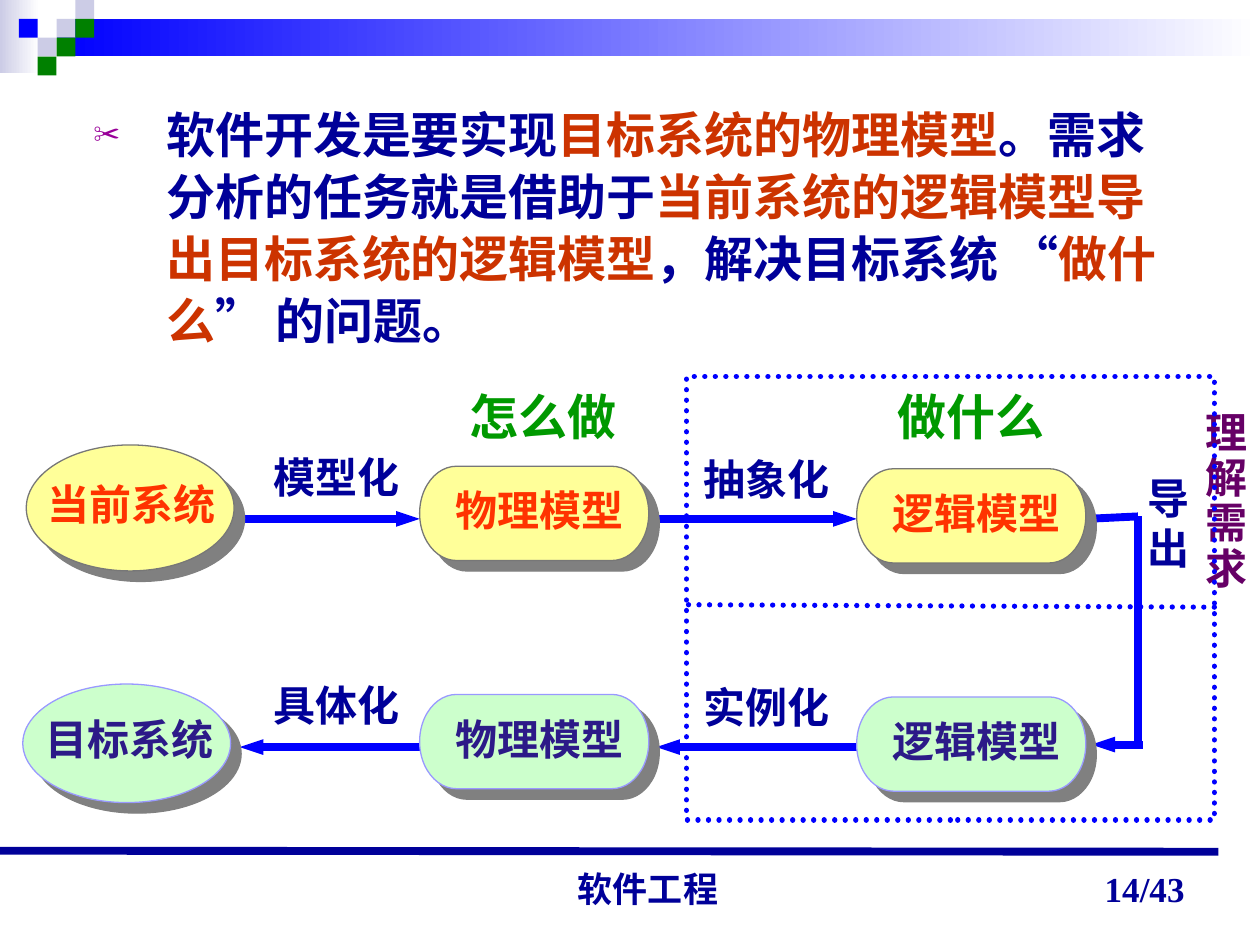
from pptx import Presentation
from pptx.dml.color import RGBColor
from pptx.enum.dml import MSO_LINE
from pptx.enum.shapes import MSO_CONNECTOR, MSO_SHAPE
from pptx.enum.text import MSO_ANCHOR, MSO_AUTO_SIZE, PP_ALIGN
from pptx.oxml import parse_xml
from pptx.oxml.ns import nsdecls
from pptx.oxml.ns import qn
from pptx.util import Cm, Pt

# Content
NAVY, RED, BLUE, GREEN = "000099", "CC3300", "0000FF", "008000"
PALE, LEAF, PLUM = "CCCCE6", "009900", "660066"
HAN, ROMAN = "Noto Sans CJK SC", "Times New Roman"
BODY = [
    ("软件开发是要实现", HAN, NAVY),
    ("目标系统的物理模型", HAN, RED),
    ("。需求分析的任务就是借助于", HAN, NAVY),
    ("当前系统的逻辑模型导出目标系统的逻辑模型", HAN, RED),
    ("，解决目标系统 ", HAN, NAVY),
    ("“", ROMAN, NAVY),
    ("做什么", HAN, RED),
    ("”", ROMAN, NAVY),
    (" 的问题。", HAN, NAVY),
]
# Each row: top, colours (fill, edge, text), ellipse box, ellipse text, link words
ROWS = [
    (9.4, ("FFFF99", "777777", "FF3300"), (0.53, 8.97, 4.19, 2.54),
     ("当前系统", 0.71, 9.52), ("模型化", "抽象化")),
    (14, ("CCFFCC", "9999FF", "2C1A88"), (0.46, 13.79, 4.19, 2.39),
     ("目标系统", 0.66, 14.25), ("具体化", "实例化")),
]
MODELS = [("物理模型", 8.46, 0), ("逻辑模型", 17.27, 0.05)]
LINKS = [(5.26, 8.98), (13.92, 9.02)]
# Lines: from x, y, to x, y, arrow at the end
LINES = [
    (21.9, 10.46, 22.94, 10.41, False),
    (13.08, 10.46, 17.27, 10.46, True),
    (4.7, 10.46, 8.46, 10.46, True),
    (23.04, 15.01, 22, 15.01, True),
    (17.27, 15.06, 13.23, 15.06, True),
    (8.46, 15.06, 4.83, 15.06, True),
    (22.94, 15.01, 22.94, 10.41, False),
]
# Notes: text, box, size, colour, line spacing
NOTES = [
    ("理\n解\n需\n求", (24.05, 8.18, 1.35, 3.91), 24, PLUM, 0.9),
    ("导\n出", (22.89, 9.4, 1.35, 2.29), 24, NAVY, 1),
    ("怎么做", (9.07, 7.67, 3.6, 1.45), 28, LEAF, 1),
    ("做什么", (17.7, 7.67, 3.6, 1.45), 28, LEAF, 1),
]
STEP = 0.38
TILES = [(3, 1, PALE), (4, 0, PALE), (4, 1, GREEN), (2, 2, PALE),
         (1, 1, BLUE), (3, 2, GREEN), (2, 3, GREEN)]

deck = Presentation()
deck.slide_width, deck.slide_height = Cm(25.4), Cm(19.05)
slide = deck.slides.add_slide(deck.slide_layouts[1])
title = slide.shapes.title
title.element.getparent().remove(title.element)


def tint(part, code):
    """Set a colour from a hex string."""
    part.rgb = RGBColor.from_string(code)


def node_xml(tag, attrs="", inner=""):
    return parse_xml(f'<a:{tag} {nsdecls("a")} {attrs}>{inner}</a:{tag}>')


def style(run, face, size, code):
    run.font.name, run.font.size, run.font.bold = face, Pt(size), True
    tint(run.font.color, code)
    run.font._element.find(qn("a:latin")).addnext(
        node_xml("ea", f'typeface="{HAN}"'))


def form(kind, box, fill=None, edge=None, width=0.75):
    shape = slide.shapes.add_shape(kind, *map(Cm, box))
    shape.shadow.inherit = False
    if fill:
        shape.fill.solid()
        tint(shape.fill.fore_color, fill)
    else:
        shape.fill.background()
    if edge:
        tint(shape.line.color, edge)
        shape.line.width = Pt(width)
    else:
        shape.line.fill.background()
    return shape


def fade(box, start):
    shape = form(MSO_SHAPE.RECTANGLE, box)
    shape.fill.gradient()
    shape.fill.gradient_angle = 0
    for stop, code in zip(shape.fill.gradient_stops, (start, "FFFFFF")):
        tint(stop.color, code)


def node(kind, box, fill, edge):
    shape = form(kind, box, fill, edge)
    shape._element.spPr.find(qn("a:effectLst")).append(node_xml(
        "outerShdw", 'dist="107950" dir="2700000" algn="ctr" rotWithShape="0"',
        '<a:srgbClr val="808080"/>'))


def label(text, box, size=24, code=NAVY, face=HAN, align=PP_ALIGN.RIGHT,
          wrap=False, space=1):
    frame = slide.shapes.add_textbox(*map(Cm, box)).text_frame
    frame.text = text
    frame.word_wrap = wrap
    if wrap:
        frame.vertical_anchor = MSO_ANCHOR.BOTTOM
    else:
        frame.auto_size = MSO_AUTO_SIZE.SHAPE_TO_FIT_TEXT
    for para in frame.paragraphs:
        para.alignment, para.line_spacing = align, space
        style(para.runs[0], face, size, code)


def line(x1, y1, x2, y2, arrow=False, code=BLUE, width=4.5):
    link = slide.shapes.add_connector(
        MSO_CONNECTOR.STRAIGHT, Cm(x1), Cm(y1), Cm(x2), Cm(y2))
    tint(link.line.color, code)
    link.line.width = Pt(width)
    if arrow:
        link.line._get_or_add_ln().append(
            node_xml("tailEnd", 'type="triangle" w="sm"'))
    link._element.spPr.append(node_xml("effectLst"))
    return link


# Header band and tiles
fade((0, 0, 0.79, 1.47), PALE)
fade((1.14, STEP, 24.26, 2 * STEP), BLUE)
for col, row, code in TILES:
    form(MSO_SHAPE.RECTANGLE, (col * STEP, row * STEP, STEP, STEP), code)

# Footer
line(0, 17.15, 24.56, 17.17, code=NAVY)
label("软件工程", (9.04, 17.42, 8.05, 1.04), 20, face="Arial",
      align=PP_ALIGN.CENTER, wrap=True)
label("14/43", (18.21, 17.2, 5.92, 1.27), 20, face=ROMAN, wrap=True)

# Body text
body = slide.placeholders[1]
body.left, body.top, body.width, body.height = map(Cm, (1.63, 1.93, 22, 5.54))
body.text_frame.auto_size = MSO_AUTO_SIZE.NONE
para = body.text_frame.paragraphs[0]
para.line_spacing, para.space_before = 1.05, Pt(0)
props = para._p.get_or_add_pPr()
props.set("marL", str(Cm(1.47)))
props.set("indent", str(-Cm(1.47)))
props.append(node_xml("buClr", inner='<a:srgbClr val="990099"/>'))
props.append(node_xml("buSzPct", 'val="55000"'))
props.append(node_xml("buChar", 'char="✂"'))
for text, face, code in BODY:
    run = para.add_run()
    run.text = text
    style(run, face, 28, code)

# Flow lines, then the two rows of systems and models
for ends in LINES:
    line(*ends)
for top, (fill, edge, ink), oval, (text, x, y), words in ROWS:
    node(MSO_SHAPE.OVAL, oval, fill, edge)
    label(text, (x, y, 3.89, 1.27), code=ink)
    for name, left, drop in MODELS:
        node(MSO_SHAPE.FLOWCHART_TERMINATOR, (left, top + drop, 4.62, 1.9),
             fill, edge)
        label(name, (left + 0.47, top + drop + 0.25, 3.89, 1.27), code=ink)
    for word, (left, high) in zip(words, LINKS):
        label(word, (left, high + top - 9.4, 3.05, 1.27))
for text, box, size, code, space in NOTES:
    label(text, box, size, code, space=space)

# Dotted frame
frame = form(MSO_SHAPE.RECTANGLE, (13.84, 7.59, 10.64, 8.94), None, BLUE, 3)
split = line(24.48, 12.24, 13.84, 12.19, width=3)
for part in (frame, split):
    part.line.dash_style = MSO_LINE.ROUND_DOT
    part.line._get_or_add_ln().set("cap", "rnd")

deck.save("out.pptx")
